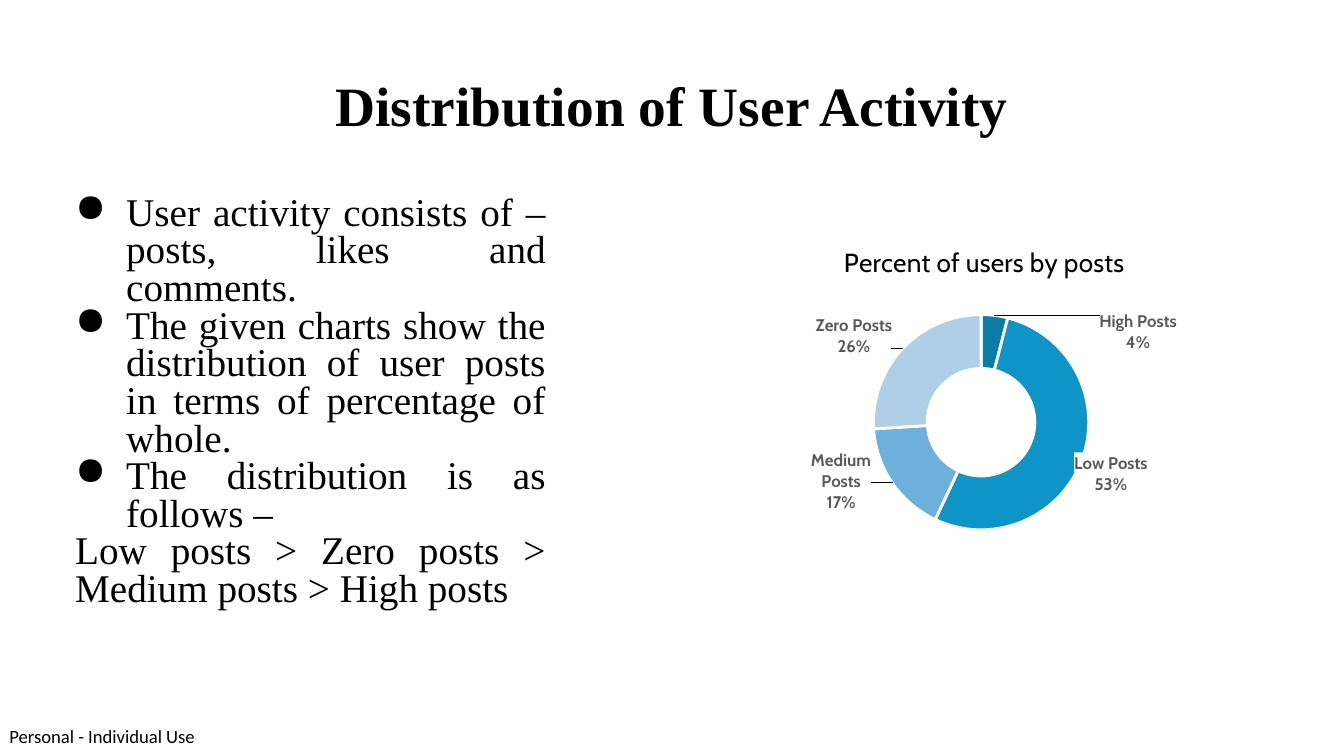
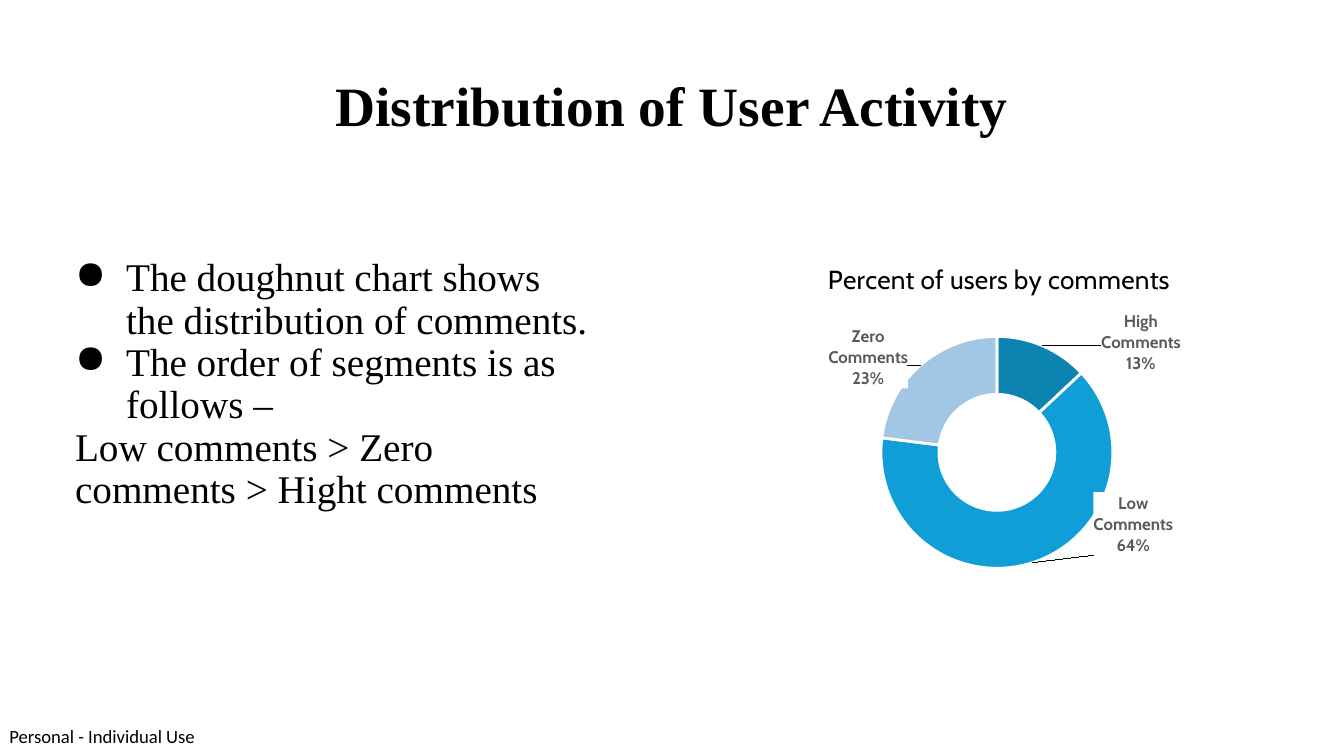
from lxml import etree
from pptx import Presentation
from pptx.chart.data import CategoryChartData
from pptx.dml.color import RGBColor
from pptx.enum.chart import XL_CHART_TYPE as ChartType
from pptx.enum.text import MSO_ANCHOR as Anchor, PP_ALIGN as Align
from pptx.oxml import parse_xml
from pptx.oxml.ns import nsdecls, qn
from pptx.util import Inches, Pt

COLORS = {"text": "000000", "label": "595959", "white": "FFFFFF"}
SERIF, FOOTER_FONT, CHART_FONT = "Times New Roman", "Calibri", "Cabin"
TITLE = "Distribution of User Activity"
FOOTER = "Personal - Individual Use"
TITLE_AREA = (3.4, 8.71, 93.2, 11.2)
FOOTER_AREA = (0.7, 95.82, 14.1, 3.02)

SLIDES = [
    {
        "body_area": (3.4, 24.18, 38.2, 64.71),
        "align": Align.JUSTIFY,
        "spacing": 0.8,
        "bullets": [
            "User activity consists of – posts, likes and comments.",
            "The given charts show the distribution of user posts in terms of percentage of whole.",
            "The distribution is as follows –",
        ],
        "order": "Low posts > Zero posts > Medium posts > High posts",
        "chart_area": (54.8, 28.44, 36.4, 45.33),
        "chart_title": "Percent of users by posts",
        "title_layout": {"x": 0.21, "y": 0.07},
        "plot_layout": {"x": 0.28, "y": 0.29, "w": 0.44, "h": 0.63},
        "points": [
            ("High Posts", 4, "0C7DA8", 0.3, -0.03),
            ("Low Posts", 53, "0E94C7", 0.11, 0.07),
            ("Medium Posts", 17, "6DB0DC", -0.15, 0.04),
            ("Zero Posts", 26, "AFCEE8", -0.14, -0.09),
        ],
    },
    {
        "body_area": (3.4, 32.36, 41.4, 48.71),
        "align": Align.LEFT,
        "spacing": 0.9,
        "bullets": [
            "The doughnut chart shows the distribution of comments.",
            "The order of segments is as follows –",
        ],
        "order": "Low comments > Zero comments > Hight comments",
        "chart_area": (56.3, 30.93, 35.4, 50.31),
        "chart_title": "Percent of users by comments",
        "title_layout": {"x": 0.14, "y": 0.06},
        "plot_layout": {"x": 0.26, "y": 0.27, "w": 0.49, "h": 0.61},
        "points": [
            ("High Comments", 13, "0C83B1", 0.23, -0.08),
            ("Low Comments", 64, "0F9ED5", 0.23, -0.03),
            ("Zero Comments", 23, "A2C7E5", -0.15, -0.08),
        ],
    },
]

presentation = Presentation()
presentation.slide_width = Inches(10)
presentation.slide_height = Inches(5.625)


def area(left, top, width, height):
    across, down = presentation.slide_width / 100, presentation.slide_height / 100
    return int(left * across), int(top * down), int(width * across), int(height * down)


def manual_layout(sizes, modes=()):
    layout = parse_xml(f"<c:layout {nsdecls('c')}><c:manualLayout/></c:layout>")
    for tag, value in [*modes, *sizes.items()]:
        etree.SubElement(layout[0], qn(f"c:{tag}")).set("val", str(value))
    return layout


EDGES = [("xMode", "edge"), ("yMode", "edge")]
LABEL_STYLE = f"""<c:numFmt formatCode="0%" sourceLinked="0"/>
<c:spPr><a:solidFill><a:srgbClr val="{COLORS['white']}"/></a:solidFill><a:ln><a:noFill/></a:ln></c:spPr>
<c:txPr><a:bodyPr/><a:p><a:pPr><a:defRPr sz="900" b="1">
<a:solidFill><a:srgbClr val="{COLORS['label']}"/></a:solidFill><a:latin typeface="{CHART_FONT}"/>
</a:defRPr></a:pPr><a:endParaRPr lang="en-US"/></a:p></c:txPr>
<c:showLegendKey val="0"/><c:showVal val="0"/><c:showCatName val="1"/><c:showSerName val="0"/>
<c:showPercent val="1"/><c:showBubbleSize val="0"/><c:separator>\n</c:separator>"""

for content in SLIDES:
    slide = presentation.slides.add_slide(presentation.slide_layouts[6])

    lines = [(text, 0.5, -0.38) for text in content["bullets"]]
    lines.append((content["order"], 0.12, 0))
    blocks = [
        (FOOTER_AREA, 0, Anchor.TOP, [(FOOTER, 0, 0)], Align.LEFT, 1, 10, FOOTER_FONT, False),
        (TITLE_AREA, 0.1, Anchor.MIDDLE, [(TITLE, 0, 0)], Align.CENTER, 0.9, 29.7, SERIF, True),
        (content["body_area"], 0.1, Anchor.TOP, lines, content["align"], content["spacing"], 21, SERIF, False),
    ]
    for box, margin, anchor, entries, align, spacing, size, font, bold in blocks:
        frame = slide.shapes.add_textbox(*area(*box)).text_frame
        frame.word_wrap = margin > 0
        frame.vertical_anchor = anchor
        frame.margin_left = frame.margin_right = Inches(margin)
        frame.margin_top = frame.margin_bottom = Inches(margin)
        for index, (text, left, indent) in enumerate(entries):
            paragraph = frame.add_paragraph() if index else frame.paragraphs[0]
            paragraph.text = text
            paragraph.alignment = align
            paragraph.line_spacing = spacing
            properties = paragraph._p.get_or_add_pPr()
            properties.set("marL", str(Inches(left)))
            properties.set("indent", str(Inches(indent)))
            if indent:
                etree.SubElement(properties, qn("a:buChar")).set("char", "●")
            paragraph.font.size = Pt(size)
            paragraph.font.name = font
            paragraph.font.bold = bold
            paragraph.font.color.rgb = RGBColor.from_string(COLORS["text"])

    data = CategoryChartData()
    data.categories = [point[0] for point in content["points"]]
    data.add_series("Series 1", [point[1] for point in content["points"]])
    chart = slide.shapes.add_chart(ChartType.DOUGHNUT, *area(*content["chart_area"]), data).chart
    chart.has_legend = False
    chart.font.size = Pt(10)
    chart.font.name = CHART_FONT
    chart.font.color.rgb = RGBColor.from_string(COLORS["text"])

    chart.has_title = True
    paragraph = chart.chart_title.text_frame.paragraphs[0]
    paragraph.text = content["chart_title"]
    paragraph.font.size = Pt(14)
    paragraph.font.bold = False
    paragraph.font.name = CHART_FONT
    paragraph.font.color.rgb = RGBColor.from_string(COLORS["text"])

    title = chart.chart_title._element
    plot = chart.plots[0]
    plot_area = plot._element.getparent()
    for parent in (title, plot_area):
        for old_layout in parent.findall(qn("c:layout")):
            parent.remove(old_layout)
    title.find(qn("c:tx")).addnext(manual_layout(content["title_layout"], EDGES))
    plot_area.insert(0, manual_layout(content["plot_layout"], [("layoutTarget", "inner"), *EDGES]))
    plot._element.find(qn("c:holeSize")).set("val", "75")

    series = plot.series[0]
    labels = parse_xml(f"<c:dLbls {nsdecls('c', 'a')}>{LABEL_STYLE}</c:dLbls>")
    for index, (name, value, color, shift_x, shift_y) in enumerate(content["points"]):
        segment = series.points[index].format
        segment.fill.solid()
        segment.fill.fore_color.rgb = RGBColor.from_string(color)
        segment.line.color.rgb = RGBColor.from_string(COLORS["white"])
        segment.line.width = Pt(1.5)
        label = parse_xml(f'<c:dLbl {nsdecls("c", "a")}><c:idx val="{index}"/>{LABEL_STYLE}</c:dLbl>')
        label.insert(1, manual_layout({"x": shift_x, "y": shift_y}))
        labels.insert(index, label)
    series._element.find(qn("c:cat")).addprevious(labels)

presentation.save("out.pptx")
